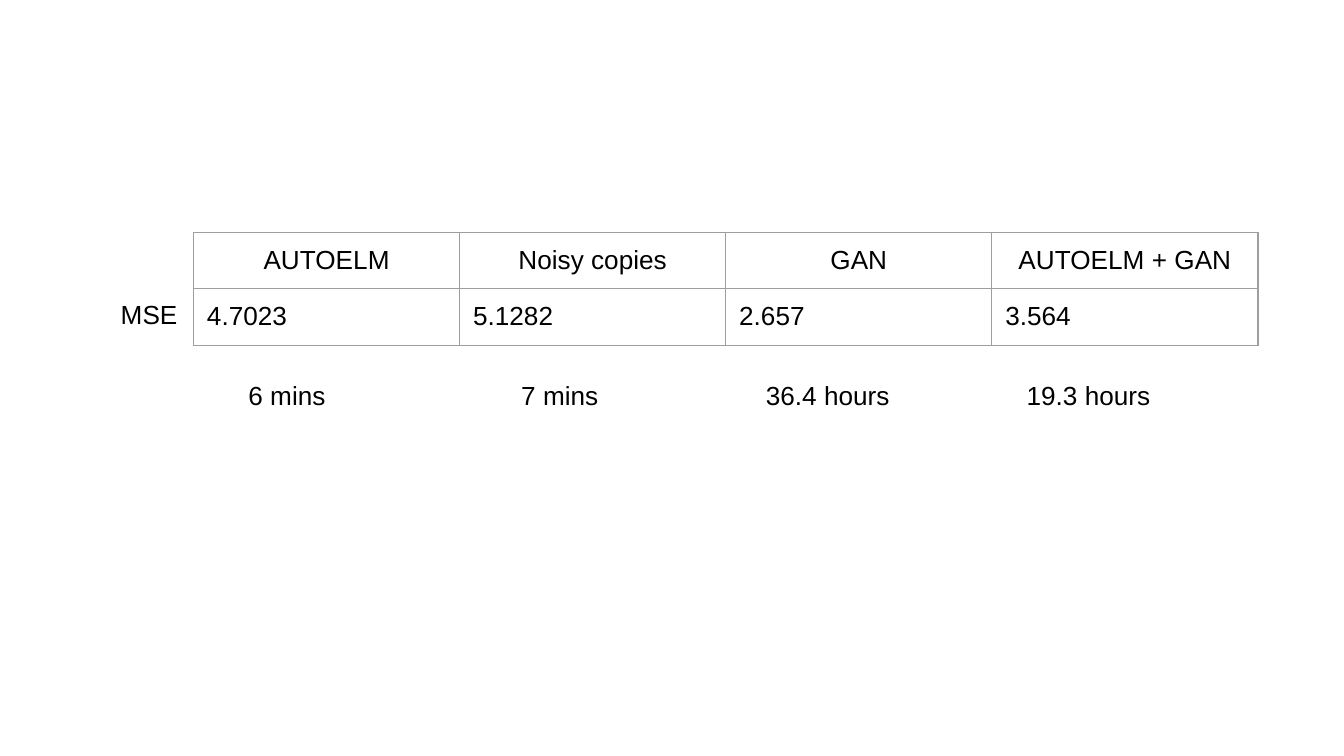
from lxml import etree
from pptx import Presentation
from pptx.dml.color import RGBColor
from pptx.enum.text import PP_ALIGN
from pptx.oxml.ns import qn
from pptx.util import Inches, Pt

CENTER, LEFT = PP_ALIGN.CENTER, PP_ALIGN.LEFT
BLANK_LAYOUT = 6
TEXT_COLOR, BORDER_COLOR = "000000", "9E9E9E"
FONT = {"name": "Arial", "size": Pt(14), "bold": False}
INSETS = {f"margin_{side}": Inches(0.1) for side in ("left", "top", "right", "bottom")}

METHODS = ["AUTOELM", "Noisy copies", "GAN", "AUTOELM + GAN"]
ERRORS = ["4.7023", "5.1282", "2.657", "3.564"]
DURATIONS = ["6 mins", "7 mins", "36.4 hours", "19.3 hours"]
DURATION_TABS = [2.03, 3.85, 5.79]
ROW_HEIGHTS = [0.39, 0.42]


def color(value):
    return RGBColor.from_string(value)


def set_attributes(target, values):
    for name, value in values.items():
        setattr(target, name, value)


def write_text(paragraph, text, alignment=LEFT):
    paragraph.text = text
    paragraph.alignment = alignment
    for run in paragraph.runs:
        set_attributes(run.font, FONT)
        run.font.color.rgb = color(TEXT_COLOR)


def add_borders(cell):
    properties = cell._tc.get_or_add_tcPr()
    for index, side in enumerate(("lnL", "lnR", "lnT", "lnB")):
        line = etree.Element(qn(f"a:{side}"), w=str(Pt(0.75)))
        fill = etree.SubElement(line, qn("a:solidFill"))
        etree.SubElement(fill, qn("a:srgbClr"), val=BORDER_COLOR)
        properties.insert(index, line)


def add_tab_stops(paragraph, positions):
    tab_list = etree.SubElement(paragraph._p.get_or_add_pPr(), qn("a:tabLst"))
    for position in positions:
        etree.SubElement(tab_list, qn("a:tab"), pos=str(Inches(position)), algn="l")


def add_results_table(slide, left, top, width):
    rows = [(METHODS, CENTER), (ERRORS, LEFT)]
    box = [Inches(length) for length in (left, top, width, sum(ROW_HEIGHTS))]
    table = slide.shapes.add_table(len(rows), len(METHODS), *box).table
    table.first_row = table.horz_banding = False
    for row_index, (texts, alignment) in enumerate(rows):
        table.rows[row_index].height = Inches(ROW_HEIGHTS[row_index])
        for column_index, text in enumerate(texts):
            cell = table.cell(row_index, column_index)
            set_attributes(cell, INSETS)
            cell.fill.background()
            add_borders(cell)
            write_text(cell.text_frame.paragraphs[0], text, alignment)


def add_label(slide, text, left, top, width, height):
    box = [Inches(length) for length in (left, top, width, height)]
    frame = slide.shapes.add_textbox(*box).text_frame
    set_attributes(frame, INSETS | {"word_wrap": True})
    paragraph = frame.paragraphs[0]
    write_text(paragraph, text)
    return paragraph


def add_durations(slide, left, top, width, height):
    paragraph = add_label(slide, "\t".join(DURATIONS), left, top, width, height)
    add_tab_stops(paragraph, DURATION_TABS)


def main():
    presentation = Presentation()
    presentation.slide_width = Inches(10)
    presentation.slide_height = Inches(10) * 9 // 16
    slide = presentation.slides.add_slide(presentation.slide_layouts[BLANK_LAYOUT])
    add_results_table(slide, 1.44, 1.73, 7.92)
    add_durations(slide, 1.75, 2.72, 7.48, 0.51)
    add_label(slide, "MSE", 0.8, 2.12, 4.41, 0.51)
    presentation.save("out.pptx")


if __name__ == "__main__":
    main()
